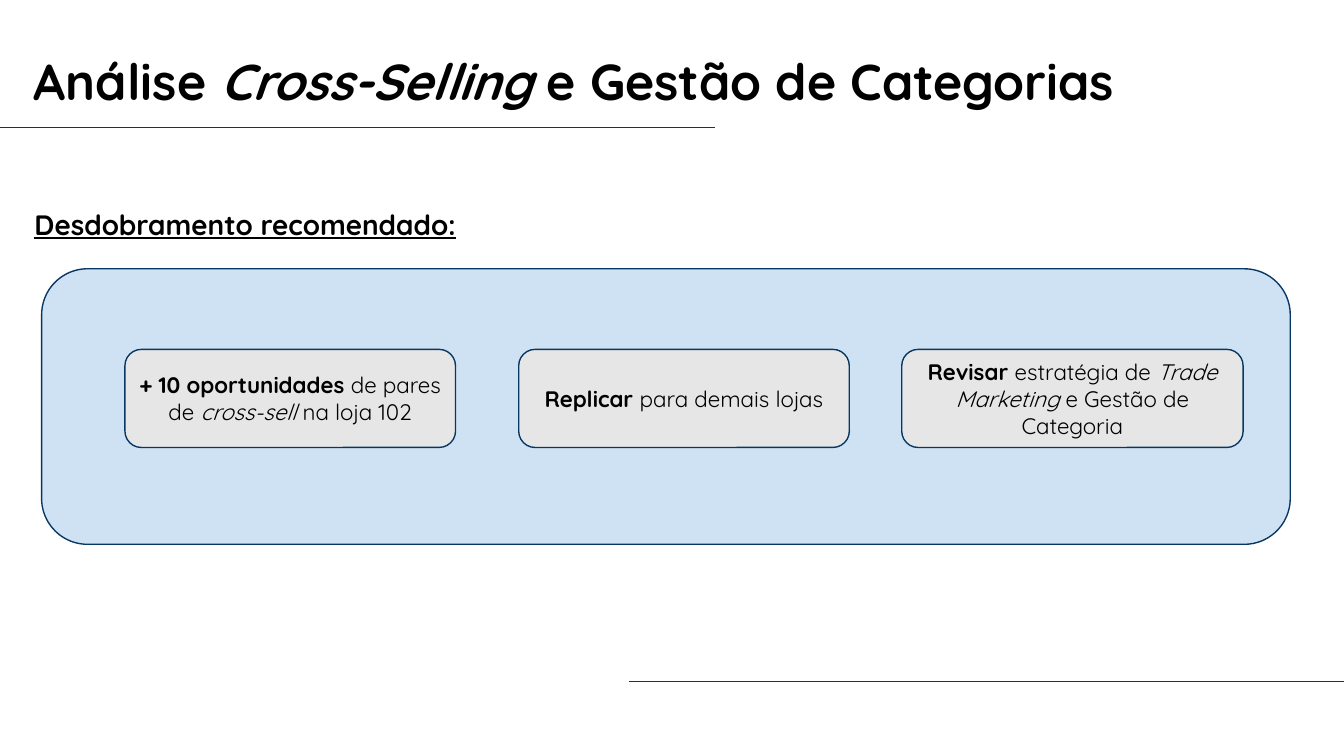
from lxml import etree
from pptx import Presentation
from pptx.dml.color import RGBColor
from pptx.enum import shapes, text
from pptx.oxml.ns import qn
from pptx.util import Inches, Pt

FONT = "Quicksand"
NAVY, LIGHT_BLUE, GREY, BLACK = "073763", "CFE2F3", "E7E6E6", "000000"


def color(hex_string):
    return RGBColor.from_string(hex_string)


def write_text(text_frame, runs, size, align, margins, anchor, line_spacing=1.0):
    """Fill a frame with one paragraph; runs are (text, style) with style letters b, i, u."""
    text_frame.word_wrap = True
    text_frame.auto_size = text.MSO_AUTO_SIZE.NONE
    text_frame.vertical_anchor = anchor
    text_frame.margin_left = text_frame.margin_right = Inches(margins[0])
    text_frame.margin_top = text_frame.margin_bottom = Inches(margins[1])
    paragraph = text_frame.paragraphs[0]
    paragraph.alignment = align
    paragraph.line_spacing = line_spacing
    paragraph.space_before = Pt(0)
    for content, style in runs:
        run = paragraph.add_run()
        run.text = content
        run.font.name = FONT
        run.font.size = Pt(size)
        run.font.color.rgb = color(BLACK)
        run.font.bold = "b" in style
        run.font.italic = "i" in style
        run.font.underline = "u" in style


def add_rule(slide, start, end, y):
    rule = slide.shapes.add_connector(
        shapes.MSO_CONNECTOR.STRAIGHT, Inches(start), Inches(y), Inches(end), Inches(y))
    rule.line.color.rgb = color(NAVY)
    rule.line.width = Pt(0.75)
    etree.SubElement(rule._element.spPr, qn("a:effectLst"))


def add_rounded_box(slide, left, top, width, height, fill):
    box = slide.shapes.add_shape(
        shapes.MSO_SHAPE.ROUNDED_RECTANGLE,
        Inches(left), Inches(top), Inches(width), Inches(height))
    box.shadow.inherit = False
    box.fill.solid()
    box.fill.fore_color.rgb = color(fill)
    box.line.color.rgb = color(NAVY)
    box.line.width = Pt(0.75)
    return box


def add_title(slide, left, top, width, height):
    title = slide.shapes.title
    title.left, title.top = Inches(left), Inches(top)
    title.width, title.height = Inches(width), Inches(height)
    runs = [("Análise ", "b"), ("Cross-Selling", "bi"), (" e Gestão de Categorias", "b")]
    write_text(title.text_frame, runs, 27, text.PP_ALIGN.LEFT, (0.07, 0.04),
               text.MSO_ANCHOR.MIDDLE, 0.9)


def add_heading(slide, left, top, width, height):
    heading = slide.shapes.add_textbox(
        Inches(left), Inches(top), Inches(width), Inches(height))
    write_text(heading.text_frame, [("Desdobramento recomendado:", "bu")], 15,
               text.PP_ALIGN.CENTER, (0.07, 0.04), text.MSO_ANCHOR.TOP, 0.9)


def add_recommendations(slide, left, top, width, height):
    """Blue panel holding one card per recommendation."""
    add_rounded_box(slide, left, top, width, height, LIGHT_BLUE)
    # Offset from the panel's left edge, card width, runs
    cards = [
        (0.62, 2.46, [("+ 10 oportunidades ", "b"), ("de pares de ", ""),
                      ("cross-sell", "i"), (" na loja 102", "")]),
        (3.55, 2.46, [("Replicar ", "b"), ("para demais lojas", "")]),
        (6.4, 2.54, [("Revisar ", "b"), ("estratégia de ", ""),
                     ("Trade Marketing", "i"), (" e Gestão de Categoria", "")]),
    ]
    for offset, card_width, runs in cards:
        card = add_rounded_box(slide, left + offset, top + 0.6, card_width, 0.73, GREY)
        write_text(card.text_frame, runs, 12, text.PP_ALIGN.CENTER, (0, 0.1),
                   text.MSO_ANCHOR.MIDDLE)


def main():
    presentation = Presentation()
    # Widescreen, 16:9
    presentation.slide_width = Inches(10)
    presentation.slide_height = presentation.slide_width * 9 // 16
    slide = presentation.slides.add_slide(presentation.slide_layouts[5])

    # Decorative rules
    add_rule(slide, 0, 5.32, 0.95)
    add_rule(slide, 4.68, 10, 5.07)

    # Content
    add_title(slide, 0.18, 0.3, 8.62, 0.65)
    add_heading(slide, 0.07, 1.53, 3.51, 0.63)
    add_recommendations(slide, 0.31, 2, 9.29, 2.05)

    presentation.save("out.pptx")


if __name__ == "__main__":
    main()
